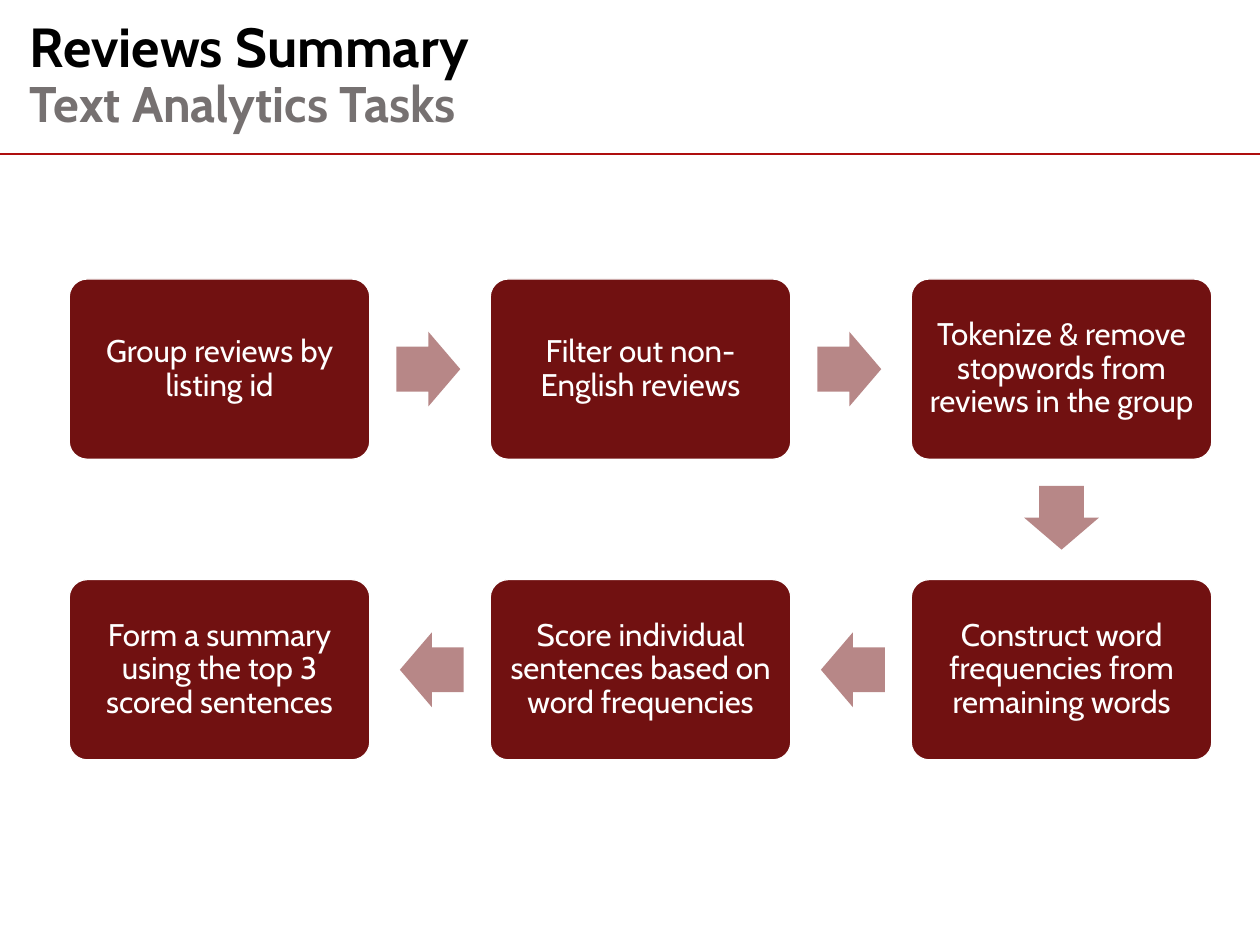
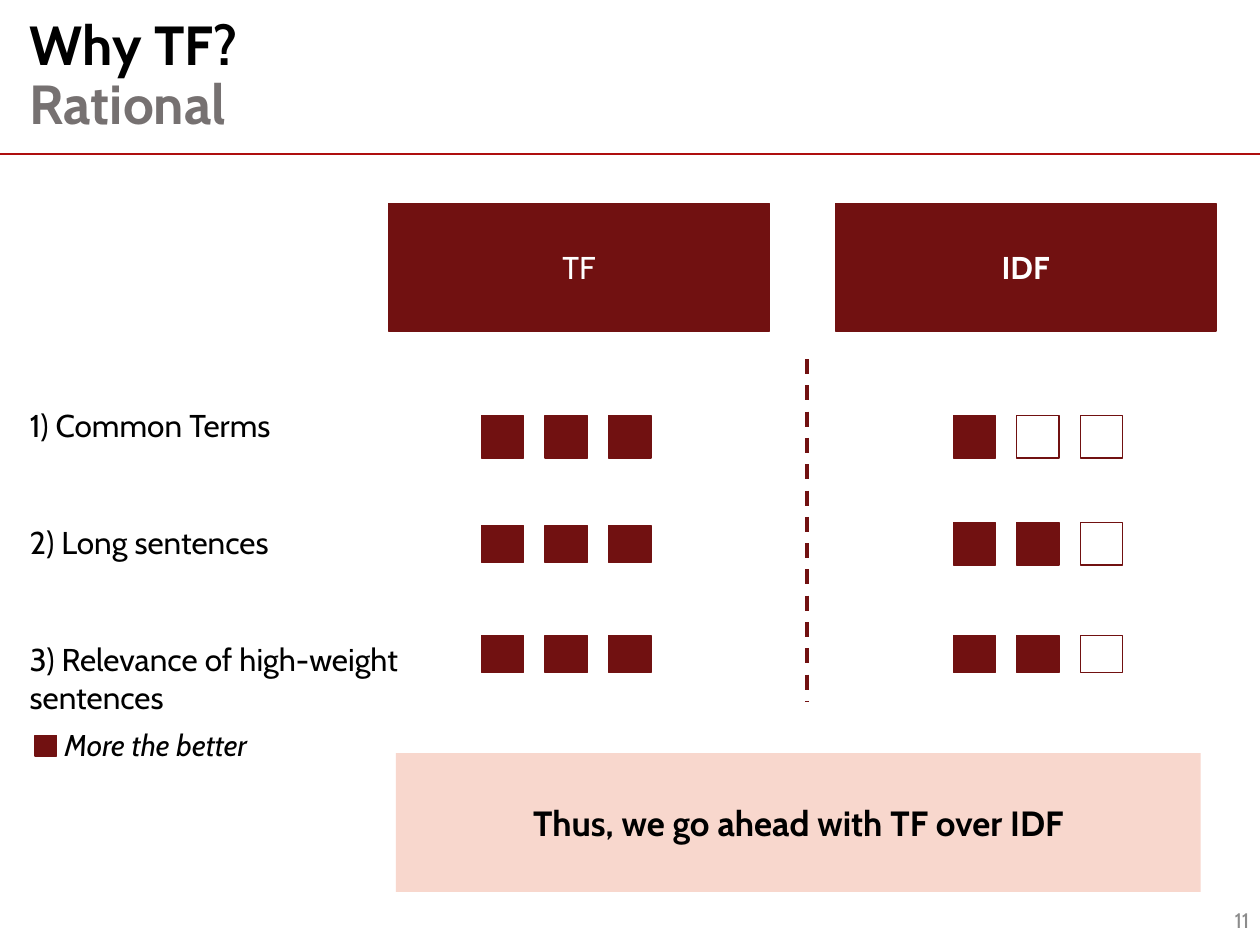
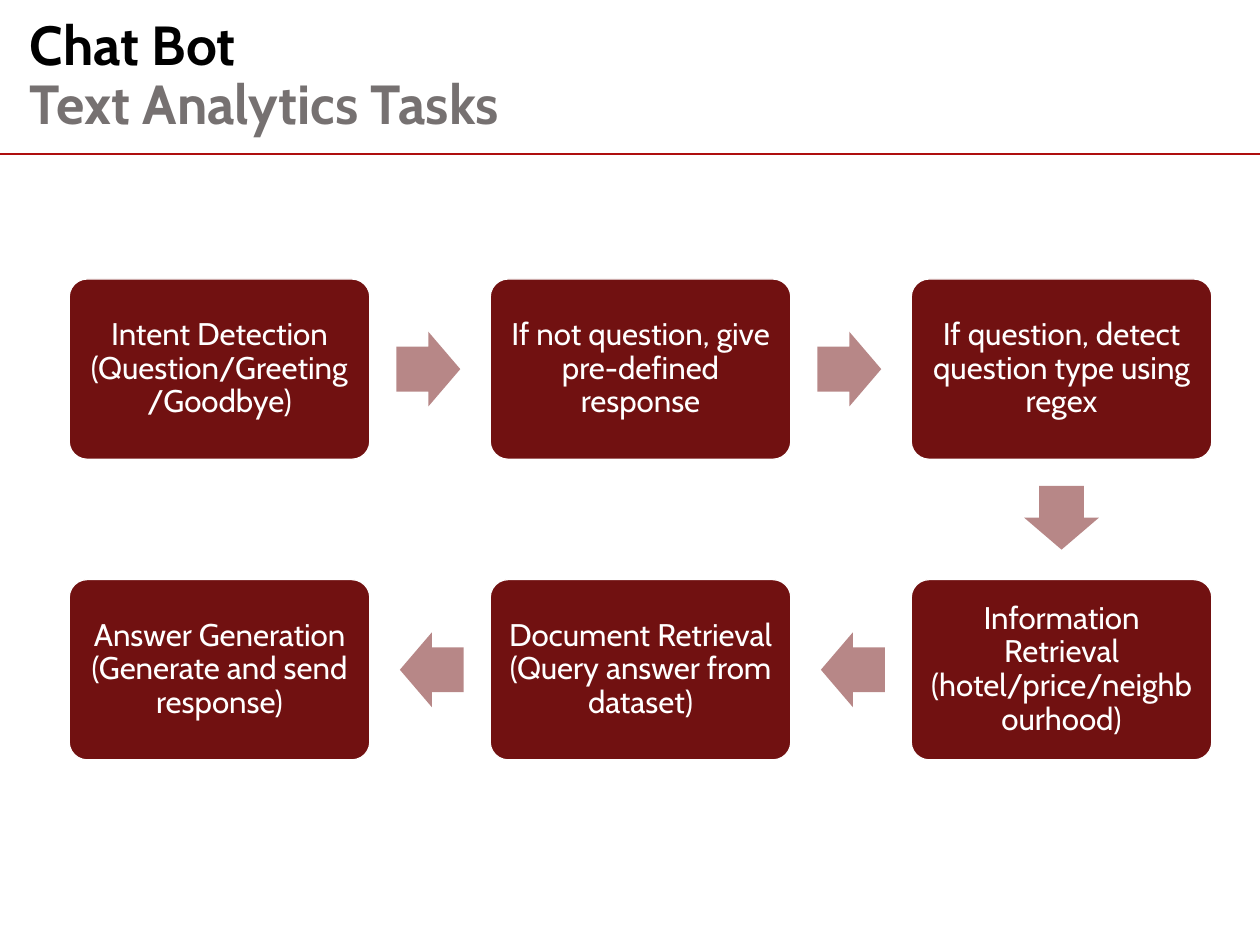
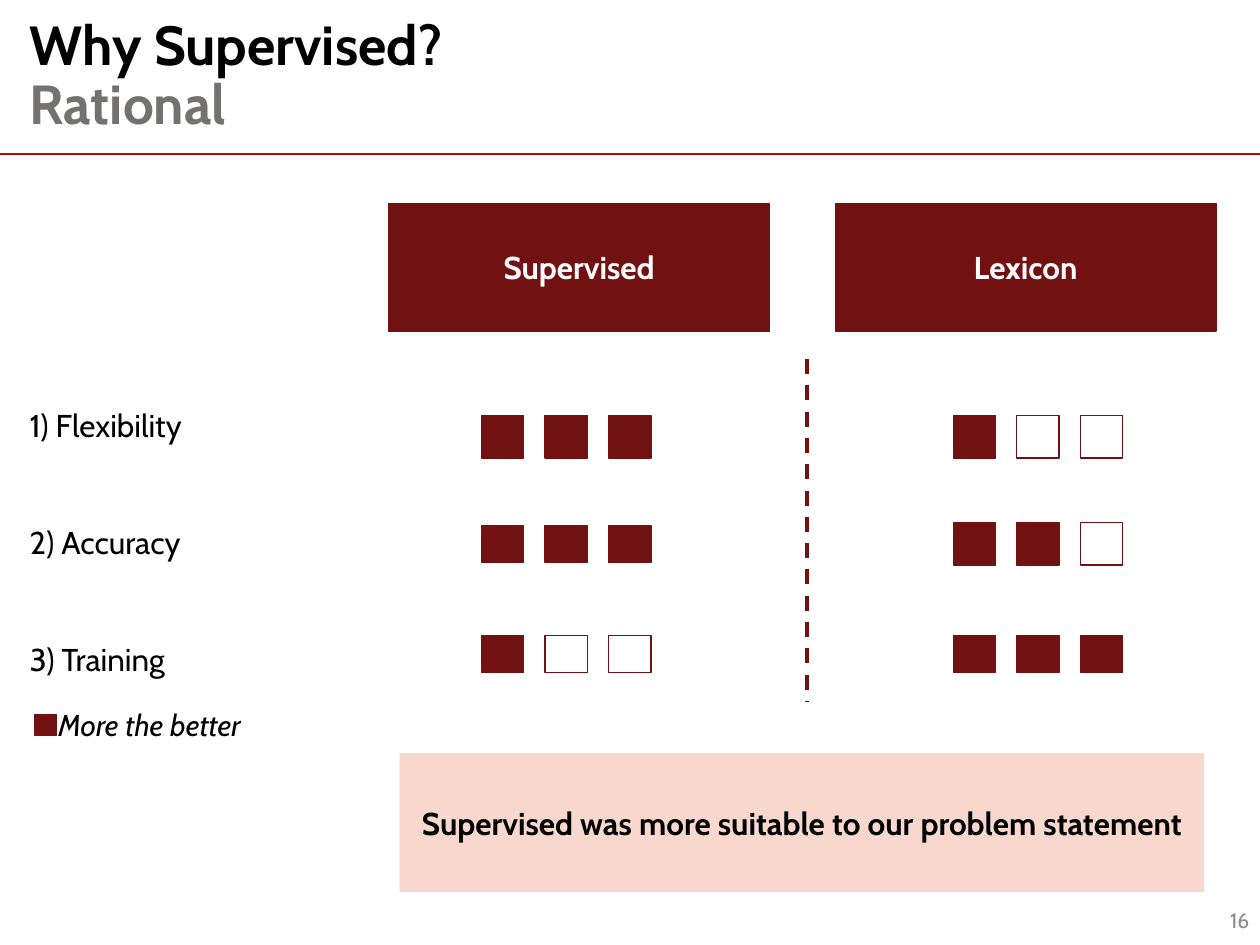
from lxml import etree
from pptx import Presentation
from pptx.dml.color import RGBColor
from pptx.enum import dml, shapes, text
from pptx.oxml.ns import qn
from pptx.util import Pt

FONT = "Cabin"
MAROON = RGBColor(0x71, 0x11, 0x11)
RED = RGBColor(0xAE, 0x0E, 0x0E)
PINK = RGBColor(0xF8, 0xD7, 0xCD)
GRAY = RGBColor(0x76, 0x71, 0x71)
PAGE_GRAY = RGBColor(0x8C, 0x8C, 0x8C)
BLACK = RGBColor(0, 0, 0)
WHITE = RGBColor(255, 255, 255)

# Content: flows list their steps in reading order of the snake
REVIEW_FLOW = {
    "title": "Reviews Summary", "subtitle": "Text Analytics Tasks", "sub_size": 40,
    "steps": [
        "Group reviews by listing id",
        "Filter out non-English reviews",
        "Tokenize & remove stopwords from reviews in the group",
        "Construct word frequencies\u00a0from remaining words",
        "Score individual sentences based on word frequencies",
        "Form a summary using the top 3 scored sentences",
    ],
}
CHAT_FLOW = {
    "title": "Chat Bot", "subtitle": "Text Analytics Tasks", "sub_size": 44,
    "steps": [
        "Intent Detection (Question/Greeting/Goodbye)",
        "If not question, give pre-defined response",
        "If question, detect question type using regex",
        "Information Retrieval (hotel/price/neighbourhood)",
        "Document Retrieval (Query answer from dataset)",
        "Answer Generation (Generate and send response)",
    ],
}
# Criteria: label, label width, filled squares for each option
TF_CHOICE = {
    "title": "Why TF?", "subtitle": "Rational", "sub_size": 44, "page": "11",
    "options": [("TF", False), ("IDF", True)],
    "criteria": [
        ("1) Common Terms\u00a0", 302.4, (3, 1)),
        ("2) Long sentences", 232.6, (3, 2)),
        ("3) Relevance of high-weight sentences", 323.3, (3, 2)),
    ],
    "key_top": 588.2, "key_text": (44.6, 577.4),
    "verdict": ("Thus, we go ahead with TF over IDF", 28, 316.8),
}
SUPERVISED_CHOICE = {
    "title": "Why Supervised?", "subtitle": "Rational", "sub_size": 44, "page": "16",
    "options": [("Supervised", True), ("Lexicon", True)],
    "criteria": [
        ("1) Flexibility", 302.4, (3, 1)),
        ("2) Accuracy", 181.4, (3, 2)),
        ("3) Training", 181.4, (1, 3)),
    ],
    "key_top": 571.7, "key_text": (39.6, 561.6),
    "verdict": ("Supervised was more suitable to our problem statement", 25.2, 319.7),
}

# Flow geometry
BOX_W, BOX_H = 240.5, 144.2
BOX_LEFT, BOX_TOP = 55.4, 223.2
COL_STEP, ROW_STEP = 336.8, 240.5
ARROW_W, ARROW_H, ARROW_SHIFT = 51.1, 59.8, 1.4
SNAKE = [(0, 0), (1, 0), (2, 0), (2, 1), (1, 1), (0, 1)]

# Comparison geometry
HEAD_LEFTS = (311, 668.2)
SQUARE_LEFTS = (385.2, 762.6)
SQUARE_W, SQUARE_STEP = 33.8, 50.9
LABEL_TOPS = (321.1, 414.7, 508.3)
ROW_CENTERS = (349.6, 435.2, 523.1)
SQUARE_HEIGHTS = ((33.8, 33.8), (29.5, 33.8), (29.5, 29.5))


def box(*lengths):
    return [Pt(v) for v in lengths]


def add_shape(s, kind, x, y, w, h, fill=None, line=None):
    sp = s.shapes.add_shape(kind, *box(x, y, w, h))
    sp.shadow.inherit = False
    if fill is None:
        sp.fill.background()
    else:
        sp.fill.solid()
        sp.fill.fore_color.rgb = fill
    if line is None:
        sp.line.fill.background()
    else:
        sp.line.color.rgb = line
        sp.line.width = Pt(1)
    return sp


def add_rect(s, x, y, w, h, fill=None, line=MAROON):
    return add_shape(s, shapes.MSO_SHAPE.RECTANGLE, x, y, w, h, fill, line)


def write(sp, words, size, color, align, anchor=text.MSO_ANCHOR.MIDDLE,
          bold=False, italic=False):
    tf = sp.text_frame
    tf.word_wrap = True
    tf.vertical_anchor = anchor
    p = tf.paragraphs[0]
    p.text = words
    p.alignment = align
    f = p.font
    f.name, f.size, f.color.rgb = FONT, Pt(size), color
    f.bold, f.italic = bold, italic
    return p


def add_text(s, x, y, w, h, words, size, color=BLACK, align=text.PP_ALIGN.LEFT,
             anchor=text.MSO_ANCHOR.TOP, italic=False):
    sp = s.shapes.add_textbox(*box(x, y, w, h))
    write(sp, words, size, color, align, anchor, italic=italic)


def add_line(s, x1, y1, x2, y2, color, width):
    ln = s.shapes.add_connector(shapes.MSO_CONNECTOR.STRAIGHT, *box(x1, y1, x2, y2))
    ln.line.color.rgb = color
    ln.line.width = Pt(width)
    etree.SubElement(ln._element.spPr, qn("a:effectLst"))
    return ln


def add_slide(prs, data):
    """Slide with the two-line title and the red rule."""
    s = prs.slides.add_slide(prs.slide_layouts[5])
    add_line(s, -2.2, 123.1, 1008, 123.1, RED, 1.5)
    title = s.shapes.title
    title.left, title.top, title.width, title.height = box(16.6, 0, 991.4, 123.1)
    tf = title.text_frame
    tf.word_wrap = True
    tf.auto_size = text.MSO_AUTO_SIZE.NONE
    tf.vertical_anchor = text.MSO_ANCHOR.MIDDLE
    p = tf.paragraphs[0]
    p.alignment = text.PP_ALIGN.LEFT
    p.line_spacing = 0.9
    p.font.name, p.font.bold = FONT, True
    for key, size, color in (("title", 44, BLACK), ("subtitle", data["sub_size"], GRAY)):
        r = p.add_run()
        r.text = data[key]
        r.font.size, r.font.color.rgb = Pt(size), color
        if key == "title":
            p.add_line_break()
    return s


def add_arrow(s, cx, cy, angle):
    sp = add_shape(s, shapes.MSO_SHAPE.RIGHT_ARROW, cx - ARROW_W / 2, cy - ARROW_H / 2,
                   ARROW_W, ARROW_H, MAROON)
    sp.adjustments[0], sp.adjustments[1] = 0.6, 0.5
    sp.rotation = angle
    color = sp._element.spPr.find(".//" + qn("a:srgbClr"))
    etree.SubElement(color, qn("a:alpha"), val="50000")


def flow_slide(prs, data):
    s = add_slide(prs, data)
    for i, (words, (col, row)) in enumerate(zip(data["steps"], SNAKE)):
        x, y = BOX_LEFT + col * COL_STEP, BOX_TOP + row * ROW_STEP
        sp = add_shape(s, shapes.MSO_SHAPE.ROUNDED_RECTANGLE, x, y, BOX_W, BOX_H,
                       MAROON, WHITE)
        sp.adjustments[0] = 0.1
        tf = sp.text_frame
        tf.margin_left = tf.margin_right = tf.margin_top = tf.margin_bottom = Pt(7.2)
        p = write(sp, words, 25, WHITE, text.PP_ALIGN.CENTER)
        p.line_spacing = 0.9
        # Arrow halfway to the next step
        if i + 1 < len(SNAKE):
            dx, dy = SNAKE[i + 1][0] - col, SNAKE[i + 1][1] - row
            angle = 90 if dy else (0 if dx > 0 else 180)
            add_arrow(s, x + BOX_W / 2 + dx * (COL_STEP / 2 - ARROW_SHIFT),
                      y + BOX_H / 2 + dy * (ROW_STEP / 2 - ARROW_SHIFT), angle)


def comparison_slide(prs, data):
    s = add_slide(prs, data)
    add_text(s, 779.8, 715.7, 226.8, 40.3, data["page"], 16.8, PAGE_GRAY,
             text.PP_ALIGN.RIGHT, text.MSO_ANCHOR.MIDDLE)

    # Option headings and divider
    for x, (name, bold) in zip(HEAD_LEFTS, data["options"]):
        sp = add_rect(s, x, 162.7, 304.6, 102.2, MAROON)
        write(sp, name, 25.2, WHITE, text.PP_ALIGN.CENTER, bold=bold)
    divider = add_line(s, 645.8, 287.3, 645.8, 561.6, MAROON, 3)
    divider.line.dash_style = dml.MSO_LINE.DASH

    # Criteria with their ratings
    for (label, width, scores), top, center, heights in zip(
            data["criteria"], LABEL_TOPS, ROW_CENTERS, SQUARE_HEIGHTS):
        add_text(s, 16.6, top, width, 38.2, label, 25.2)
        for left, score, h in zip(SQUARE_LEFTS, scores, heights):
            for i in range(3):
                add_rect(s, left + i * SQUARE_STEP, center - h / 2, SQUARE_W, h,
                         MAROON if i < score else None)

    # Key and verdict
    add_rect(s, 28.1, data["key_top"], 17.3, 16.6, MAROON)
    add_text(s, *data["key_text"], 181.4, 36, "More the better", 24, italic=True)
    words, size, left = data["verdict"]
    sp = add_rect(s, left, 602.6, 643.7, 110.9, PINK, None)
    write(sp, words, size, BLACK, text.PP_ALIGN.CENTER, bold=True)


def main():
    prs = Presentation()
    prs.slide_width, prs.slide_height = box(1008, 756)
    flow_slide(prs, REVIEW_FLOW)
    comparison_slide(prs, TF_CHOICE)
    flow_slide(prs, CHAT_FLOW)
    comparison_slide(prs, SUPERVISED_CHOICE)
    prs.save("out.pptx")


if __name__ == "__main__":
    main()
